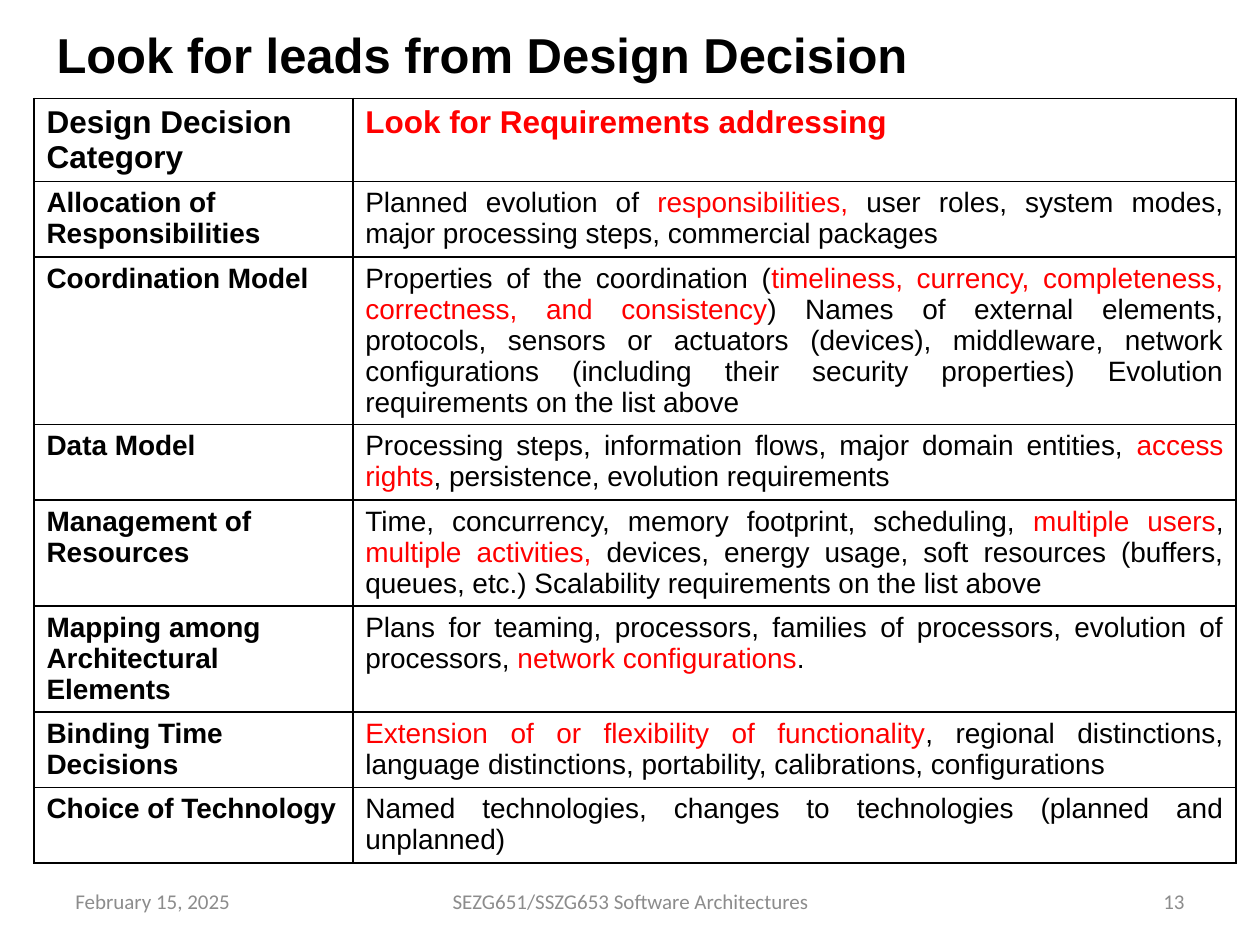
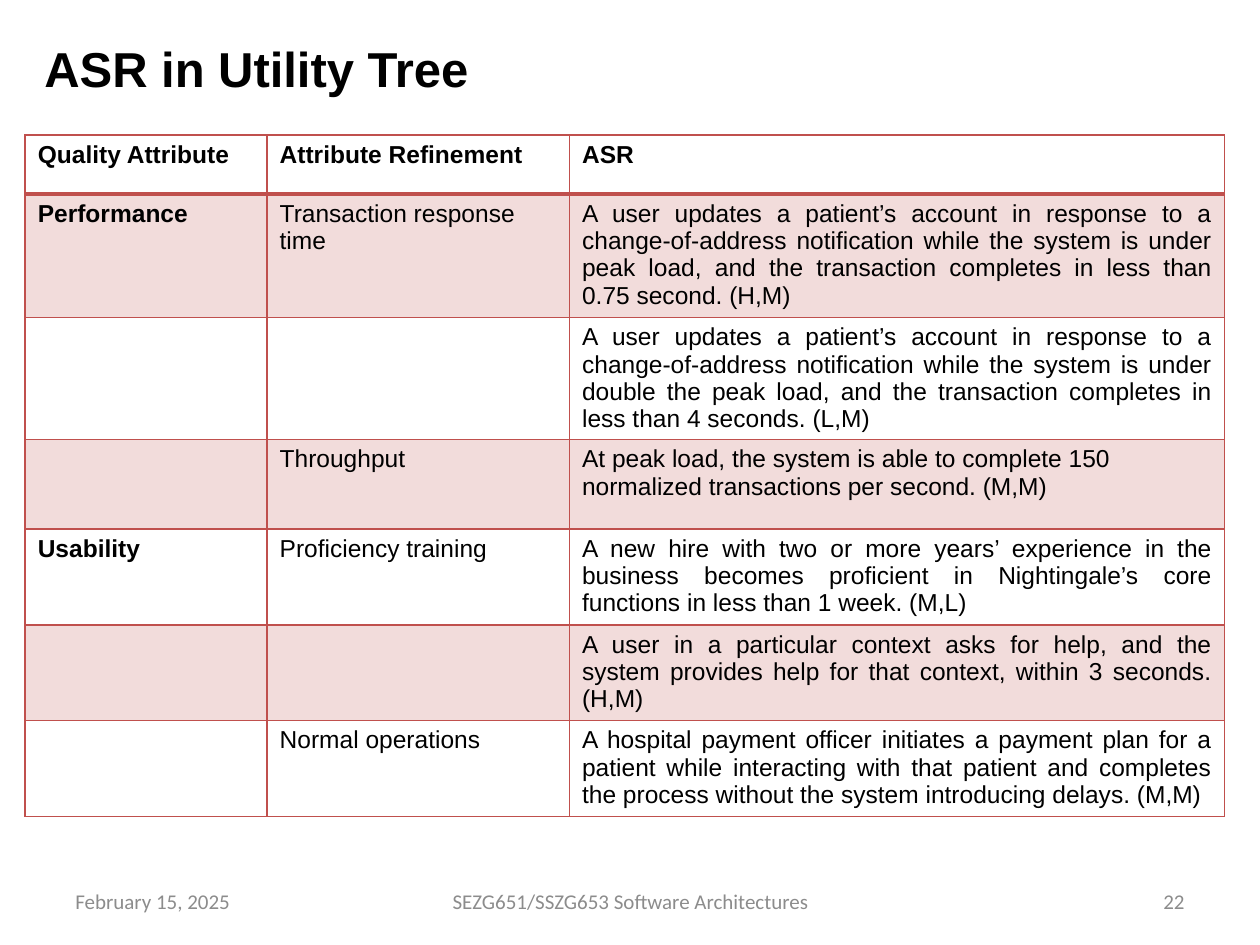
from dataclasses import dataclass

from lxml.etree import SubElement
from pptx import Presentation
from pptx.dml.color import RGBColor
from pptx.enum.shapes import MSO_SHAPE
from pptx.enum.text import MSO_ANCHOR, PP_ALIGN
from pptx.oxml.ns import qn
from pptx.util import Inches, Pt


@dataclass(frozen=True)
class Theme:
    black: str = "000000"
    white: str = "FFFFFF"
    red: str = "FF0000"
    grey: str = "8C8C8C"
    rule: str = "C0504D"
    band: str = "F2DCDB"
    body_font: str = "Arial"
    footer_font: str = "Calibri"
    title_size: int = 28
    footer_size: int = 12


# Line pitch in points for each type size used in tables.
LINE_PITCH = {18: 20.1, 16: 17.7, 14: 15.6}
COURSE = "SEZG651/SSZG653 Software Architectures"
DATE = "February 15, 2025"

# Text between asterisks is drawn in red.
DECISION_ROWS = [
    ("Design Decision Category", "*Look for Requirements addressing*"),
    ("Allocation of Responsibilities",
     "Planned evolution of *responsibilities,* user roles, system modes, major "
     "processing steps, commercial packages"),
    ("Coordination Model",
     "Properties of the coordination (*timeliness, currency, completeness, "
     "correctness, and consistency*) Names of external elements, protocols, "
     "sensors or actuators (devices), middleware, network configurations "
     "(including their security properties) Evolution requirements on the list above"),
    ("Data Model",
     "Processing steps, information flows, major domain entities, *access rights*, "
     "persistence, evolution requirements"),
    ("Management of Resources",
     "Time, concurrency, memory footprint, scheduling, *multiple users*, *multiple "
     "activities, *devices, energy usage, soft resources (buffers, queues, etc.) "
     "Scalability requirements on the list above"),
    ("Mapping among Architectural\nElements",
     "Plans for teaming, processors, families of processors, evolution of "
     "processors, *network configurations*."),
    ("Binding Time Decisions",
     "*Extension of or flexibility of functionality*, regional distinctions, "
     "language distinctions, portability, calibrations, configurations"),
    ("Choice of Technology",
     "Named technologies, changes to technologies (planned and unplanned)"),
]

UTILITY_ROWS = [
    ("Quality Attribute", "Attribute Refinement", "ASR"),
    ("Performance", "Transaction response time",
     "A user updates a patient’s account in response to a change-of-address "
     "notification while the system is under peak load, and the transaction "
     "completes in less than 0.75 second. (H,M)"),
    ("", "",
     "A user updates a patient’s account in response to a change-of-address "
     "notification while the system is under double the peak load, and the "
     "transaction completes in less than 4 seconds. (L,M)"),
    ("", "Throughput",
     "At peak load, the system is able to complete 150 normalized transactions "
     "per second. (M,M)"),
    ("Usability", "Proficiency training",
     "A new hire with two or more years’ experience in the business becomes "
     "proficient in Nightingale’s core functions in less than 1 week. (M,L)"),
    ("", "",
     "A user in a particular context asks for help, and the system provides help "
     "for that context, within 3 seconds. (H,M)"),
    ("", "Normal operations",
     "A hospital payment officer initiates a payment plan for a patient while "
     "interacting with that patient and completes the process without the system "
     "introducing delays. (M,M)"),
]


class Deck:
    def __init__(self, theme):
        self.theme = theme
        self.prs = Presentation()
        self.prs.slide_width, self.prs.slide_height = Inches(10), Inches(7.5)
        self.s = None

    def add_slide(self, number):
        self.s = self.prs.slides.add_slide(self.prs.slide_layouts[6])
        self.footer(0.5, 2.33, DATE, PP_ALIGN.LEFT)
        self.footer(3.42, 3.17, COURSE, PP_ALIGN.CENTER)
        self.footer(7.17, 2.33, str(number), PP_ALIGN.RIGHT)

    def style(self, font, name, size, color, bold=False):
        font.name, font.size, font.bold = name, Pt(size), bold
        font.color.rgb = RGBColor.from_string(color)

    def footer(self, left, width, text, align):
        sp = self.s.shapes.add_textbox(Inches(left), Inches(6.95), Inches(width), Inches(0.4))
        tf = sp.text_frame
        tf.word_wrap = True
        tf.vertical_anchor = MSO_ANCHOR.MIDDLE
        tf.text = text
        p = tf.paragraphs[0]
        p.alignment = align
        t = self.theme
        self.style(p.runs[0].font, t.footer_font, t.footer_size, t.grey)

    def title(self, text, left, top, width, height, align=PP_ALIGN.LEFT):
        t = self.theme
        sp = self.s.shapes.add_shape(MSO_SHAPE.RECTANGLE, Inches(left), Inches(top),
                                     Inches(width), Inches(height))
        sp.shadow.inherit = False
        sp.fill.solid()
        sp.fill.fore_color.rgb = RGBColor.from_string(t.white)
        sp.line.fill.background()
        tf = sp.text_frame
        tf.word_wrap = True
        tf.vertical_anchor = MSO_ANCHOR.MIDDLE
        tf.text = text
        p = tf.paragraphs[0]
        p.alignment = align
        self.style(p.runs[0].font, t.body_font, t.title_size, t.black, True)

    def table(self, rows, left, top, widths, heights, sizes, rule, band=None,
              header_rule=1, left_rows=()):
        """Sizes are (header, body); body rows 1, 3, 5... take the band colour.

        The last column is justified, except in left_rows."""
        frame = self.s.shapes.add_table(len(rows), len(widths), Inches(left), Inches(top),
                                        Inches(sum(widths)), Inches(sum(heights)))
        table = frame.table
        table.first_row = table.horz_banding = False
        for column, width in zip(table.columns, widths):
            column.width = Inches(width)
        for row, height in zip(table.rows, heights):
            row.height = Inches(height)
        for i, row in enumerate(rows):
            for j, text in enumerate(row):
                cell = table.cell(i, j)
                self.borders(cell, rule, top=header_rule if i == 1 else 1,
                             bottom=header_rule if i == 0 else 1)
                if band and i % 2:
                    cell.fill.solid()
                    cell.fill.fore_color.rgb = RGBColor.from_string(band)
                else:
                    cell.fill.background()
                justified = i > 0 and j == len(widths) - 1 and i not in left_rows
                self.cell_text(cell, text, sizes[min(i, 1)], i == 0 or j == 0,
                               PP_ALIGN.JUSTIFY if justified else PP_ALIGN.LEFT)

    def cell_text(self, cell, text, size, bold, align):
        t = self.theme
        tf = cell.text_frame
        for n, line in enumerate(text.split("\n")):
            p = tf.add_paragraph() if n else tf.paragraphs[0]
            p.alignment = align
            p.line_spacing = Pt(LINE_PITCH[size])
            for k, part in enumerate(line.split("*")):
                if part:
                    r = p.add_run()
                    r.text = part
                    self.style(r.font, t.body_font, size, t.red if k % 2 else t.black, bold)

    def borders(self, cell, color, top, bottom):
        tc_pr = cell._tc.get_or_add_tcPr()
        for side, width in (("L", 1), ("R", 1), ("T", top), ("B", bottom)):
            ln = SubElement(tc_pr, qn(f"a:ln{side}"), w=str(Pt(width)))
            SubElement(SubElement(ln, qn("a:solidFill")), qn("a:srgbClr"), val=color)


def main():
    theme = Theme()
    deck = Deck(theme)

    deck.add_slide(13)
    deck.title("Look for leads from Design Decision", 0.35, 0.08, 8.71, 0.69)
    deck.table(DECISION_ROWS, 0.27, 0.78, (2.53, 7.01),
               (0.66, 0.6, 1.33, 0.6, 0.84, 0.84, 0.6, 0.6), (18, 16), theme.black)

    deck.add_slide(22)
    deck.title("ASR in Utility Tree", 0.22, 0.23, 3.63, 0.61, PP_ALIGN.CENTER)
    deck.table(UTILITY_ROWS, 0.2, 1.07, (1.92, 2.4, 5.2),
               (0.47, 0.98, 0.97, 0.71, 0.76, 0.76, 0.76), (14, 14), theme.rule,
               band=theme.band, header_rule=2, left_rows=(3,))

    deck.prs.save("out.pptx")


if __name__ == "__main__":
    main()
